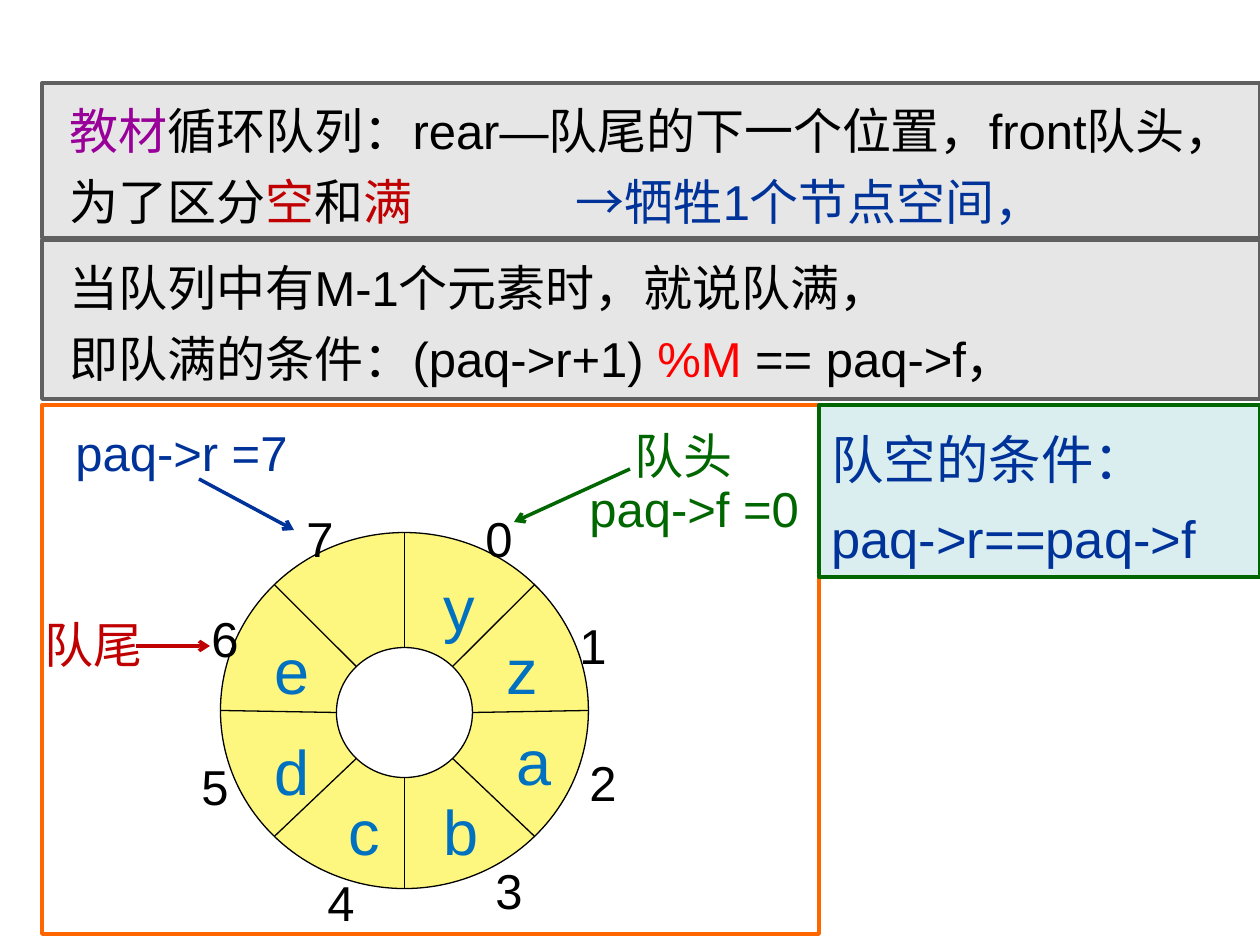
from math import cos, radians, sin

from lxml.etree import SubElement
from pptx import Presentation
from pptx.dml.color import RGBColor
from pptx.enum.shapes import MSO_CONNECTOR, MSO_SHAPE
from pptx.enum.text import MSO_ANCHOR, MSO_AUTO_SIZE, PP_ALIGN
from pptx.oxml.ns import qn
from pptx.util import Emu, Pt

BLACK = RGBColor(0x00, 0x00, 0x00)
WHITE = RGBColor(0xFF, 0xFF, 0xFF)
GRAY = RGBColor(0xE6, 0xE6, 0xE6)
DARK_GRAY = RGBColor(0x60, 0x60, 0x60)
PURPLE = RGBColor(0x99, 0x00, 0x99)
DARK_RED = RGBColor(0xC0, 0x00, 0x00)
RED = RGBColor(0xFF, 0x00, 0x00)
NAVY = RGBColor(0x00, 0x33, 0x99)
BLUE = RGBColor(0x00, 0x70, 0xC0)
GREEN = RGBColor(0x00, 0x66, 0x00)
ORANGE = RGBColor(0xFF, 0x66, 0x00)
YELLOW = RGBColor(0xFD, 0xF7, 0x7F)
PALE_TEAL = RGBColor(0xDA, 0xED, 0xEF)

FONT = "Arial"
PX_PER_INCH = 126
SLIDE_SIZE = (1260, 945)
BODY_INSET = 28
TAB_STOP = 506
HEAD_INDENT = 45

# Each paragraph is a list of (text, colour) runs.
RULES = [
    ((42, 83, 1218, 155), [
        [("教材", PURPLE), ("循环队列：rear—队尾的下一个位置，front队头，为了区分", BLACK),
         ("空", DARK_RED), ("和", BLACK), ("满\t", DARK_RED),
         ("→牺牲1个节点空间，", NAVY)],
    ]),
    ((42, 240, 1218, 159), [
        [("当队列中有M-1个元素时，就说队满，", BLACK)],
        [("即队满的条件：(paq->r+1) ", BLACK), ("%M ", RED), ("== paq->f，", BLACK)],
    ]),
]
RING_PANEL = (42, 405, 777, 529)
EMPTY_BOX = (819, 405, 441, 172)
EMPTY_RULE = [[("队空的条件：", NAVY)], [("paq->r==paq->f", NAVY)]]

# Ellipses are (centre x, centre y, radius x, radius y).
OUTER = (404.5, 710.5, 184, 178)
INNER = (404.5, 712.5, 68, 65)
SECTORS = 8

SLOT_SIZE = (63, 79)
SLOTS = [("0", 473, 488), ("1", 567, 595), ("2", 577, 732), ("3", 483, 840),
         ("4", 315, 852), ("5", 189, 736), ("6", 199, 588), ("7", 294, 488)]
ITEM_SIZE = (95, 108)
ITEMS = [("y", 431, 543), ("z", 494, 606), ("a", 504, 697), ("b", 431, 767),
         ("c", 336, 767), ("d", 262, 707), ("e", 262, 606)]

POINTERS = [
    ((63, 423, 242, 67), ["paq->r =7"], NAVY, ((199, 479), (294, 530))),
    ((577, 426, 273, 120), ["队头", "paq->f =0"], GREEN, ((630, 469), (514, 522))),
    ((32, 615, 136, 67), ["队尾"], DARK_RED, ((136, 646), (210, 646))),
]


def px(length):
    return Emu(round(length * 914400 / PX_PER_INCH))


def write(shape, paragraphs, size, spacing, inset=None):
    frame = shape.text_frame
    settings = {"word_wrap": True, "vertical_anchor": MSO_ANCHOR.TOP,
                "auto_size": MSO_AUTO_SIZE.SHAPE_TO_FIT_TEXT}
    if inset is not None:
        settings["margin_left"] = px(inset)
    for name, value in settings.items():
        setattr(frame, name, value)
    for index, runs in enumerate(paragraphs):
        paragraph = frame.paragraphs[0] if index == 0 else frame.add_paragraph()
        paragraph.alignment = PP_ALIGN.LEFT
        paragraph.line_spacing = spacing
        if any("\t" in text for text, _ in runs):
            tabs = SubElement(paragraph._p.get_or_add_pPr(), qn("a:tabLst"))
            SubElement(tabs, qn("a:tab"), pos=str(px(TAB_STOP)), algn="l")
        for text, color in runs:
            run = paragraph.add_run()
            run.text = text
            for name, value in {"name": FONT, "size": Pt(size)}.items():
                setattr(run.font, name, value)
            run.font.color.rgb = color
    return frame


def add_label(slide, place, paragraphs, size, spacing):
    label = slide.shapes.add_textbox(*map(px, place))
    return write(label, paragraphs, size, spacing)


def add_panel(slide, kind, place, fill, line, width=2.25):
    panel = slide.shapes.add_shape(kind, *map(px, place))
    panel.shadow.inherit = False
    if fill is None:
        panel.fill.background()
    else:
        panel.fill.solid()
        panel.fill.fore_color.rgb = fill
    panel.line.color.rgb = line
    panel.line.width = Pt(width)
    return panel


def add_line(slide, start, end, color, width, arrow=False):
    line = slide.shapes.add_connector(
        MSO_CONNECTOR.STRAIGHT, *map(px, (*start, *end)))
    line.line.color.rgb = color
    line.line.width = Pt(width)
    SubElement(line._element.spPr, qn("a:effectLst"))
    if arrow:
        SubElement(line.line._get_or_add_ln(), qn("a:tailEnd"), type="arrow")


def on_ellipse(ellipse, angle):
    x, y, radius_x, radius_y = ellipse
    return x + radius_x * cos(angle), y + radius_y * sin(angle)


def add_ring(slide):
    for (x, y, rx, ry), fill in ((OUTER, YELLOW), (INNER, WHITE)):
        add_panel(slide, MSO_SHAPE.OVAL, (x - rx, y - ry, 2 * rx, 2 * ry),
                  fill, BLACK, 0.75)
    for sector in range(SECTORS):
        angle = radians(sector * 360 / SECTORS)
        add_line(slide, on_ellipse(OUTER, angle), on_ellipse(INNER, angle),
                 BLACK, 0.75)
    for labels, box_size, size, color in ((SLOTS, SLOT_SIZE, 28, BLACK),
                                          (ITEMS, ITEM_SIZE, 36, BLUE)):
        for text, left, top in labels:
            add_label(slide, (left, top, *box_size), [[(text, color)]], size, 1.25)


def main():
    deck = Presentation()
    deck.slide_width, deck.slide_height = map(px, SLIDE_SIZE)
    slide = deck.slides.add_slide(deck.slide_layouts[6])

    for place, paragraphs in RULES:
        box = add_panel(slide, MSO_SHAPE.RECTANGLE, place, GRAY, DARK_GRAY)
        write(box, paragraphs, 28, 1.2, BODY_INSET)
    add_panel(slide, MSO_SHAPE.RECTANGLE, RING_PANEL, None, ORANGE)
    add_ring(slide)

    for place, lines, color, (start, end) in POINTERS:
        frame = add_label(slide, place, [[(line, color)] for line in lines], 28, 0.9)
        if len(lines) > 1:
            heading = frame.paragraphs[0]._p.get_or_add_pPr()
            heading.set("marL", str(px(HEAD_INDENT)))
        add_line(slide, start, end, color, 2, arrow=True)

    empty_box = add_panel(slide, MSO_SHAPE.RECTANGLE, EMPTY_BOX, PALE_TEAL, GREEN)
    write(empty_box, EMPTY_RULE, 30, 1.25)
    deck.save("out.pptx")


if __name__ == "__main__":
    main()
